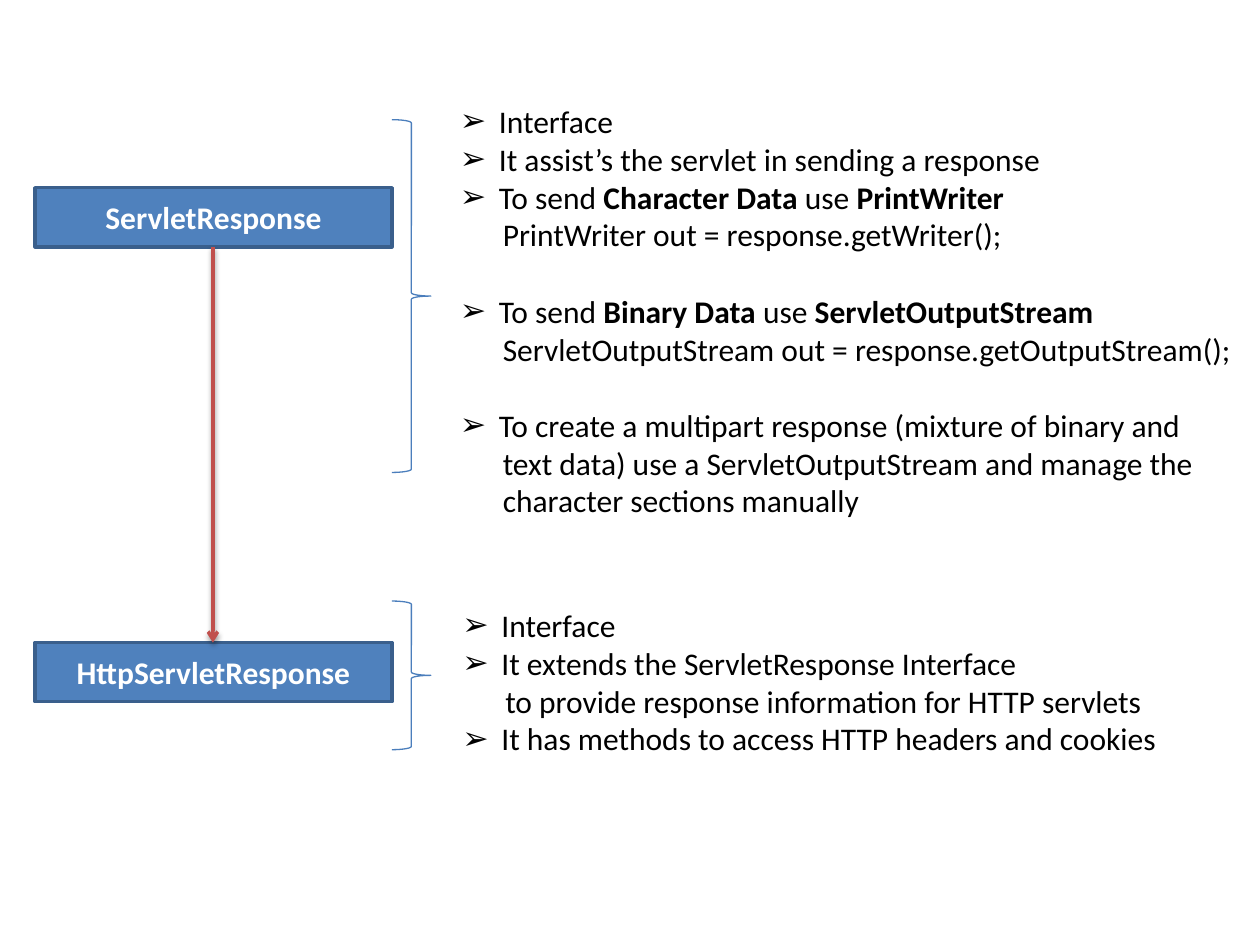
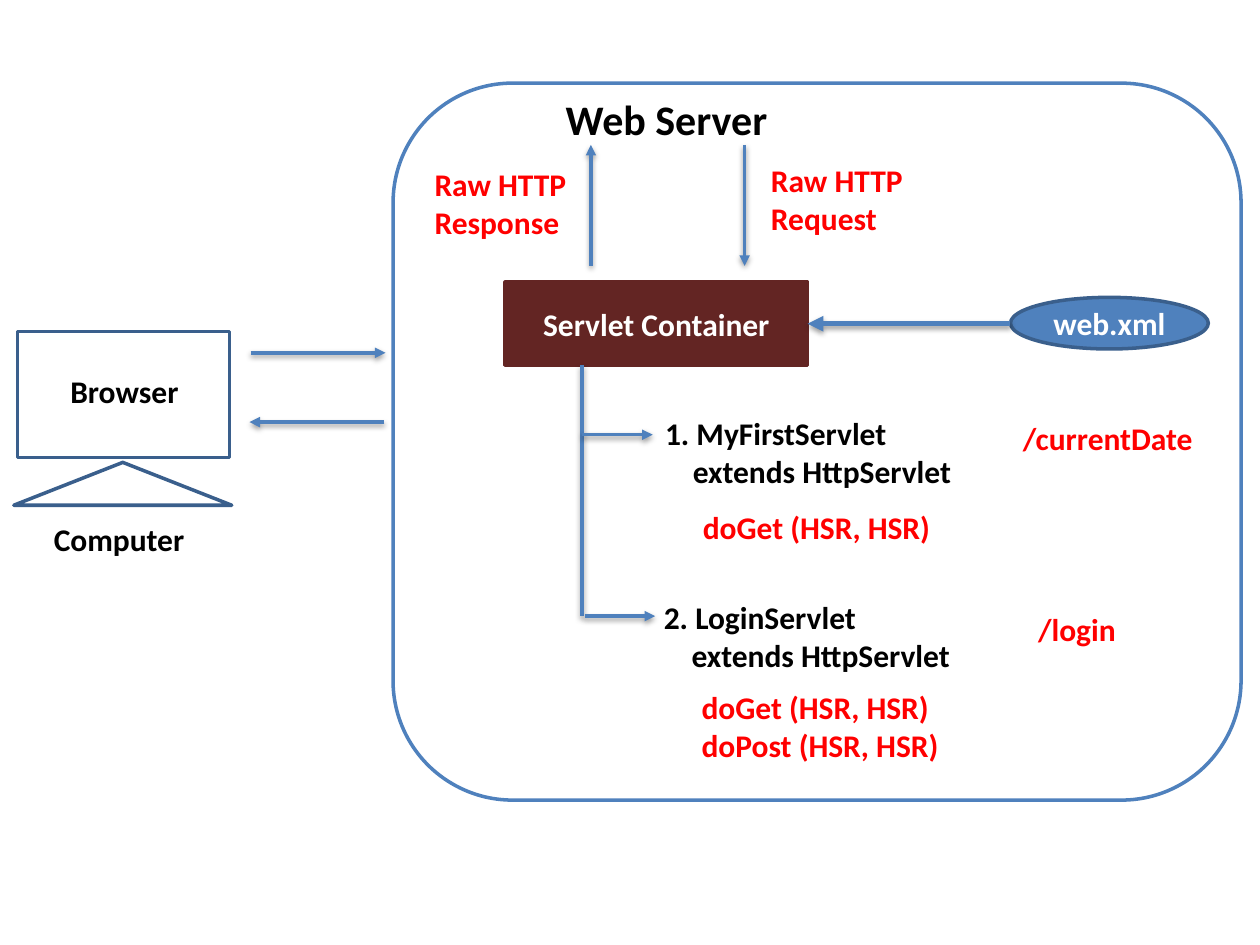
"""Two servlet slides: the response interfaces and the path of a request through the server."""
from dataclasses import dataclass

from lxml import etree
from pptx import Presentation
from pptx import util as u
from pptx.dml.color import RGBColor
from pptx.enum import shapes, text
from pptx.oxml import ns

SHAPE = shapes.MSO_SHAPE
CENTER = text.PP_ALIGN.CENTER
LEFT = text.PP_ALIGN.LEFT


@dataclass(frozen=True)
class Theme:
    """Colours, type sizes and line widths of the deck."""
    font: str = "Calibri"
    body: int = 18
    heading: int = 24
    blue: str = "4F81BD"
    edge: str = "3A5F8C"
    brace: str = "4B7EBC"
    red: str = "C0504D"
    maroon: str = "632523"
    accent: str = "FF0000"
    ink: str = "000000"
    paper: str = "FFFFFF"
    hairline: float = 0.75
    stroke: float = 2
    heavy: float = 3
    blank_line: int = 22


class Line:
    """One paragraph, its spans alternating between plain and bold."""

    def __init__(self, *spans, bullet=False, indent=0, gap=False):
        self.spans, self.bullet, self.indent, self.gap = spans, bullet, indent, gap


def point(*spans, gap=False):
    """Return a bulleted line."""
    return Line(*spans, bullet=True, indent=3.1, gap=gap)


def follow(words):
    """Return a line that continues the point above it."""
    return Line(words, indent=3.4)


def strong(words, indent=0):
    """Return a line in bold."""
    return Line("", words, indent=indent)


class Painter:
    """Draws on the current slide, on a grid of 100 columns by 75 rows."""

    def __init__(self, theme):
        self.theme = theme
        self.deck = Presentation()
        self.deck.slide_width, self.deck.slide_height = u.Inches(10), u.Inches(7.5)
        self.slide = None

    def cols(self, count):
        """Convert columns to a length."""
        return round(self.deck.slide_width * count / 100)

    def rows(self, count):
        """Convert rows to a length."""
        return round(self.deck.slide_height * count / 75)

    def frame(self, left, top, width, height):
        """Convert a grid box to lengths."""
        return self.cols(left), self.rows(top), self.cols(width), self.rows(height)

    def new_slide(self, layout):
        """Start a slide from the named layout."""
        self.slide = self.deck.slides.add_slide(self.deck.slide_layouts.get_by_name(layout))

    def fill_text(self, box, lines, color, size=None, align=LEFT):
        """Fill a box with lines, run by run."""
        for number, line in enumerate(lines):
            frame = box.text_frame
            para = frame.add_paragraph() if number else frame.paragraphs[0]
            props = para._p.get_or_add_pPr()
            indent = self.cols(line.indent)
            props.set("marL", str(indent))
            props.set("indent", str(-indent if line.bullet else 0))
            if line.bullet:
                etree.SubElement(props, ns.qn("a:buChar")).set("char", "➢")
            else:
                etree.SubElement(props, ns.qn("a:buNone"))
            para.alignment = align
            para.space_before = u.Pt(self.theme.blank_line if line.gap else 0)
            for place, words in enumerate(line.spans):
                if words:
                    span = para.add_run()
                    span.text = words
                    span.font.name = self.theme.font
                    span.font.size = u.Pt(size or self.theme.body)
                    span.font.bold = place % 2 == 1
                    span.font.color.rgb = RGBColor.from_string(color)

    def place(self, holder, area):
        """Move a placeholder and anchor its text at the top."""
        holder.left, holder.top, holder.width, holder.height = self.frame(*area)
        holder.text_frame.auto_size = text.MSO_AUTO_SIZE.NONE
        holder.text_frame.vertical_anchor = text.MSO_ANCHOR.TOP

    def title(self, words, area, above):
        """Set the slide title in front of a given shape."""
        holder = self.slide.shapes.title
        self.place(holder, area)
        holder.text_frame.word_wrap = False
        self.fill_text(holder, [strong(words)], self.theme.ink, self.theme.heading, CENTER)
        above.element.addnext(holder.element)

    def drop_title(self):
        """Remove the empty title placeholder."""
        holder = self.slide.shapes.title.element
        holder.getparent().remove(holder)

    def bullets(self, number, area, lines):
        """Put a list in one of the body placeholders."""
        holder = self.slide.placeholders[number]
        self.place(holder, area)
        holder.text_frame.word_wrap = True
        self.fill_text(holder, lines, self.theme.ink)

    def label(self, area, lines, color=None, wrap=True, align=LEFT):
        """Add a text box."""
        box = self.slide.shapes.add_textbox(*self.frame(*area))
        box.text_frame.word_wrap = wrap
        self.fill_text(box, lines, color or self.theme.ink, align=align)

    def shape(self, kind, area, edge, fill=None, words=None, width=None):
        """Add a preset shape, with white bold words when given."""
        box = self.slide.shapes.add_shape(kind, *self.frame(*area))
        box.shadow.inherit = False
        if fill:
            box.fill.solid()
            box.fill.fore_color.rgb = RGBColor.from_string(fill)
        else:
            box.fill.background()
        box.line.color.rgb = RGBColor.from_string(edge)
        box.line.width = u.Pt(width or self.theme.stroke)
        if words:
            self.fill_text(box, [strong(words)], self.theme.paper, align=CENTER)
        return box

    def arrow(self, start, end, head="triangle", color=None, width=None):
        """Add a line with a soft shadow and an optional arrowhead."""
        line = self.slide.shapes.add_connector(
            shapes.MSO_CONNECTOR.STRAIGHT, self.cols(start[0]), self.rows(start[1]),
            self.cols(end[0]), self.rows(end[1]))
        line.line.color.rgb = RGBColor.from_string(color or self.theme.blue)
        line.line.width = u.Pt(width or self.theme.stroke)
        if head:
            etree.SubElement(line.line._get_or_add_ln(), ns.qn("a:tailEnd")).set("type", head)
        effects = etree.SubElement(line.element.spPr, ns.qn("a:effectLst"))
        shadow = etree.SubElement(effects, ns.qn("a:outerShdw"), blurRad=str(u.Pt(3.1)),
                                  dist=str(u.Pt(1.6)), dir="5400000", rotWithShape="0")
        tint = etree.SubElement(shadow, ns.qn("a:srgbClr"), val=self.theme.ink)
        etree.SubElement(tint, ns.qn("a:alpha"), val="38000")


def response_slide(painter):
    """Describe the two response interfaces."""
    theme = painter.theme
    painter.new_slide("Two Content")
    painter.drop_title()
    response = [
        point("Interface"),
        point("It assist’s the servlet in sending a response"),
        point("To send ", "Character Data ", "use ", "PrintWriter"),
        follow("PrintWriter out = response.getWriter();"),
        point("To send ", "Binary Data ", "use ", "ServletOutputStream", gap=True),
        follow("ServletOutputStream out = response.getOutputStream();"),
        point("To create a multipart response (mixture of binary and", gap=True),
        follow("text data) use a ServletOutputStream and manage the"),
        follow("character sections manually"),
    ]
    http_response = [
        point("Interface"),
        point("It extends the ServletResponse Interface"),
        follow("to provide response information for HTTP servlets"),
        point("It has methods to access HTTP headers and cookies"),
    ]
    tiers = [
        ("ServletResponse", 14.9, (9.5, 28), (35.5, 7.6, 64.5, 34.3), response),
        ("HttpServletResponse", 51, (47.7, 11.8), (35.7, 47.6, 57.7, 13.1), http_response),
    ]
    for number, (name, top, (brace_top, brace_height), area, lines) in enumerate(tiers, 1):
        painter.shape(SHAPE.RECTANGLE, (2.8, top, 28.3, 4.7), theme.edge, theme.blue, name)
        painter.shape(SHAPE.RIGHT_BRACE, (31.1, brace_top, 3.1, brace_height),
                      theme.brace, width=theme.hairline)
        painter.bullets(number, area, lines)
    painter.arrow((16.9, 19.6), (16.9, 51), "arrow", theme.red)


def server_slide(painter):
    """Show how a request reaches the servlets."""
    theme = painter.theme
    painter.new_slide("Title Only")
    server = painter.shape(SHAPE.ROUNDED_RECTANGLE, (31.2, 6.6, 67.3, 56.9),
                           theme.blue, theme.paper)
    painter.title("Web Server", (43.8, 6.9, 18.2, 5), server)

    painter.shape(SHAPE.ISOSCELES_TRIANGLE, (1.1, 36.7, 17.3, 3.4), theme.edge)
    painter.shape(SHAPE.RECTANGLE, (1.4, 26.3, 16.8, 10), theme.edge)
    painter.label((4.6, 29, 10.7, 4), [strong("Browser")], wrap=False)
    painter.label((3.2, 40.8, 12.5, 4), [strong("Computer")], wrap=False, align=CENTER)
    painter.arrow((19.9, 28), (30.6, 28))
    painter.arrow((30.5, 33.5), (19.8, 33.5))

    painter.shape(SHAPE.RECTANGLE, (40.1, 22.4, 24, 6.6), theme.maroon, theme.maroon,
                  "Servlet Container")
    painter.shape(SHAPE.OVAL, (80.2, 23.6, 15.7, 4.1), theme.edge, theme.blue, "web.xml")
    painter.arrow((80.2, 25.7), (64.1, 25.7), width=theme.heavy)

    painter.arrow((59.1, 11.5), (59.1, 21.1))
    painter.arrow((46.9, 21.1), (46.9, 11.5))
    for left, top, word in [(60.2, 12.3, "Request"), (33.5, 12.6, "Response")]:
        painter.label((left, top, 12.9, 7.1), [strong("Raw HTTP"), strong(word)], theme.accent)

    painter.arrow((46.2, 29), (46.2, 48.9), head=None)
    servlets = [
        ("1. MyFirstServlet", (51.8, 32.4), ["doGet (HSR, HSR)"], 39.8,
         "/currentDate", (80.2, 32.8), (46.2, 34.5)),
        ("2. LoginServlet", (51.7, 47), ["doGet (HSR, HSR)", "doPost (HSR, HSR)"], 54.1,
         "/login", (81.4, 47.9), (46.4, 48.9)),
    ]
    for name, (left, top), methods, methods_top, address, spot, (start, level) in servlets:
        painter.label((left, top, 27.3, 7.1),
                      [strong(name), strong("extends HttpServlet", indent=2.2)])
        painter.label((left + 3, methods_top, 27.3, 1 + 3 * len(methods)),
                      [strong(method) for method in methods], theme.accent)
        painter.label((*spot, 17.1, 4), [strong(address)], theme.accent)
        painter.arrow((start, level), (start + 5.6, level))


def main():
    """Build and save the deck."""
    painter = Painter(Theme())
    response_slide(painter)
    server_slide(painter)
    painter.deck.save("out.pptx")


if __name__ == "__main__":
    main()
